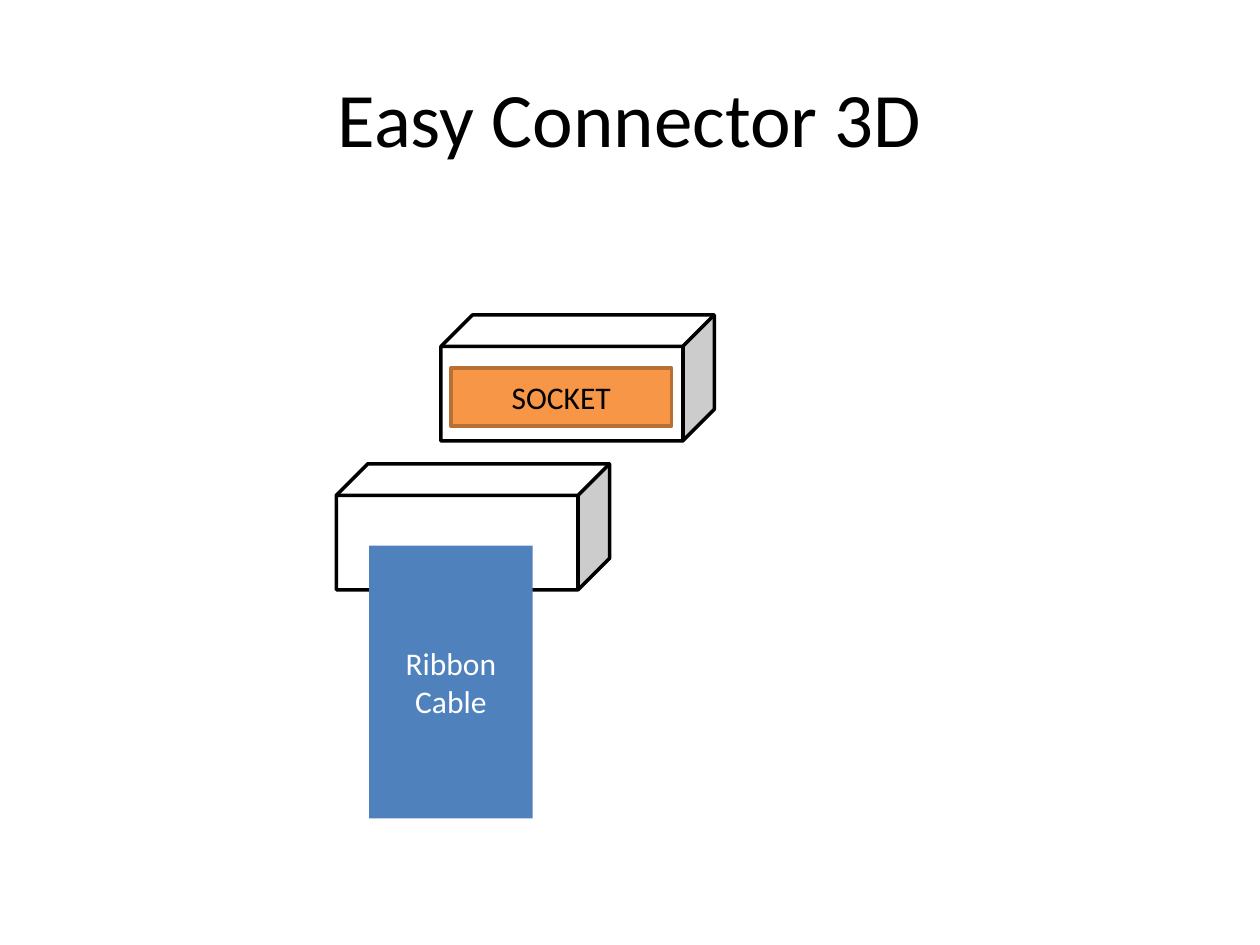
from dataclasses import dataclass

from pptx import Presentation
from pptx.dml.color import RGBColor
from pptx.enum.shapes import MSO_SHAPE
from pptx.enum.text import MSO_ANCHOR, PP_ALIGN
from pptx.util import Cm, Pt


@dataclass(frozen=True)
class Theme:
    """Colours, font and type sizes of the deck."""
    font: str = "Calibri"
    title_size: int = 44
    label_size: int = 18
    line_width: int = 2
    black: str = "000000"
    white: str = "FFFFFF"
    orange: str = "F79646"
    brown: str = "B76F34"
    blue: str = "4F81BD"


THEME = Theme()
HOUSING_SIZE = (5.51, 2.54)


def write_text(shape, text, size, color):
    """Set centred text in a shape."""
    frame = shape.text_frame
    frame.text = text
    frame.word_wrap = True
    frame.vertical_anchor = MSO_ANCHOR.MIDDLE
    for para in frame.paragraphs:
        para.alignment = PP_ALIGN.CENTER
        for span in para.runs:
            span.font.name = THEME.font
            span.font.size = Pt(size)
            span.font.color.rgb = RGBColor.from_string(color)


def add_block(page, kind, box, fill, line=None):
    """Add a filled shape in a box given in centimetres."""
    shape = page.shapes.add_shape(kind, *map(Cm, box))
    shape.shadow.inherit = False
    shape.fill.solid()
    shape.fill.fore_color.rgb = RGBColor.from_string(fill)
    if line:
        shape.line.color.rgb = RGBColor.from_string(line)
        shape.line.width = Pt(THEME.line_width)
    else:
        shape.line.fill.background()
    return shape


def add_title(page, box, text):
    """Add the slide title."""
    title = page.shapes.add_textbox(*map(Cm, box))
    write_text(title, text, THEME.title_size, THEME.black)


def add_connector_half(page, left, top, part, text, fill, line, color):
    """Add a housing at left, top and a labelled part placed relative to it."""
    add_block(page, MSO_SHAPE.CUBE, (left, top, *HOUSING_SIZE),
              THEME.white, THEME.black)
    dx, dy, width, height = part
    label = add_block(page, MSO_SHAPE.RECTANGLE,
                      (left + dx, top + dy, width, height), fill, line)
    write_text(label, text, THEME.label_size, color)


def build_deck():
    """Build the deck with its one slide."""
    deck = Presentation()
    deck.slide_width, deck.slide_height = Cm(25.4), Cm(19.05)
    page = deck.slides.add_slide(deck.slide_layouts[6])
    add_title(page, (1.27, 0.76, 22.86, 3.18), "Easy Connector 3D")
    add_connector_half(page, 8.89, 6.35, (0.2, 1.07, 4.45, 1.17), "SOCKET",
                       THEME.orange, THEME.brown, THEME.black)
    add_connector_half(page, 6.78, 9.35, (0.66, 1.65, 3.3, 5.5), "Ribbon Cable",
                       THEME.blue, None, THEME.white)
    return deck


build_deck().save("out.pptx")
